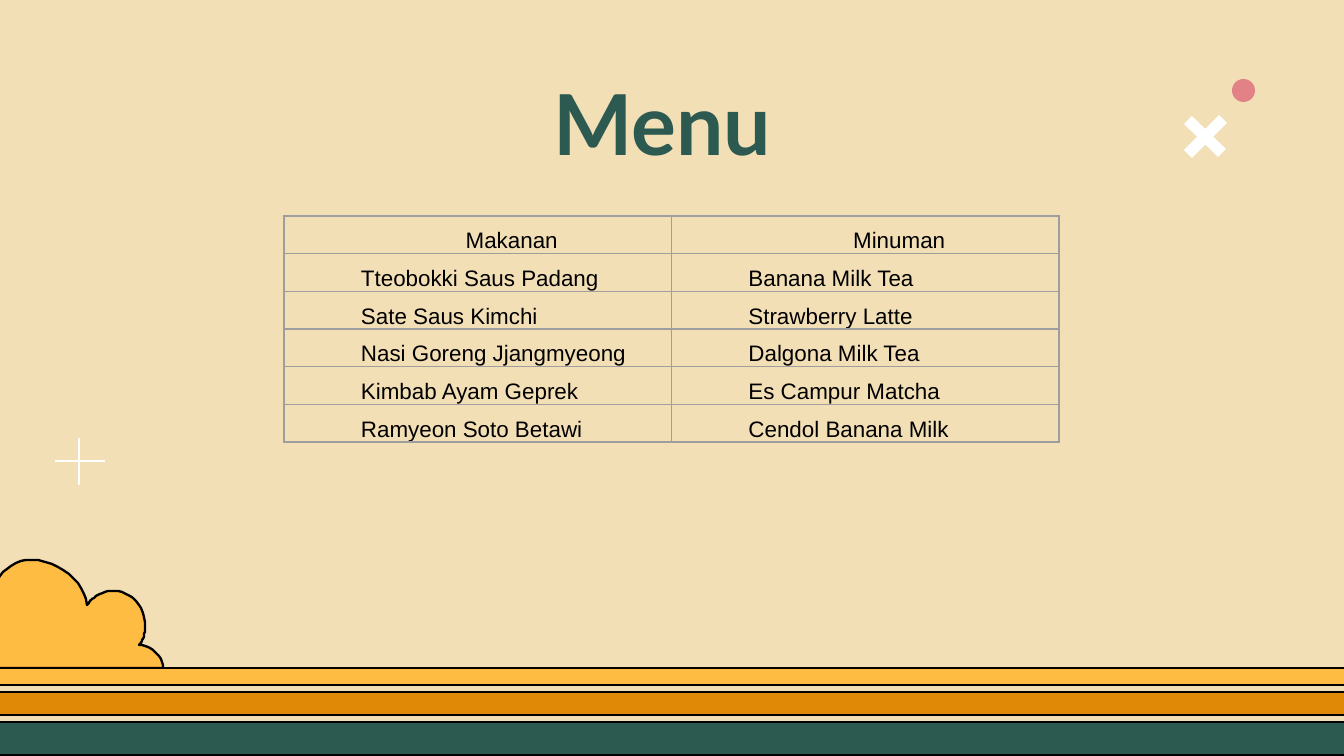
from lxml import etree
from pptx import Presentation
from pptx.dml.color import RGBColor
from pptx.enum.shapes import MSO_CONNECTOR, MSO_SHAPE
from pptx.enum.text import MSO_ANCHOR, PP_ALIGN
from pptx.oxml.ns import qn
from pptx.util import Pt

LINE = MSO_CONNECTOR.STRAIGHT
RECT, OVAL = MSO_SHAPE.RECTANGLE, MSO_SHAPE.OVAL
BOTTOM = MSO_ANCHOR.BOTTOM
CENTER, JUSTIFY = PP_ALIGN.CENTER, PP_ALIGN.JUSTIFY

SAND = RGBColor(0xF3, 0xDF, 0xB6)
GREEN = RGBColor(0x2C, 0x5A, 0x50)
ORANGE = RGBColor(0xE0, 0x89, 0x06)
YELLOW = RGBColor(0xFF, 0xBC, 0x42)
PINK = RGBColor(0xE2, 0x82, 0x87)
WHITE = RGBColor(0xFF, 0xFF, 0xFF)
BLACK = RGBColor(0, 0, 0)
GREY = RGBColor(0x9E, 0x9E, 0x9E)

TITLE = "Menu"
MENU = [
    ("Makanan", "Minuman"),
    ("Tteobokki Saus Padang", "Banana Milk Tea"),
    ("Sate Saus Kimchi", "Strawberry Latte"),
    ("Nasi Goreng Jjangmyeong", "Dalgona Milk Tea"),
    ("Kimbab Ayam Geprek", "Es Campur Matcha"),
    ("Ramyeon Soto Betawi", "Cendol Banana Milk"),
]
BANDS = [(722, 33, GREEN), (692, 23, ORANGE), (668, 17, YELLOW)]
STROKES = [
    (79, 438, 79, 485, 1.5),
    (105, 461, 55, 461, 1.5),
    (1188, 120, 1222, 153, 6),
    (1223, 119, 1188, 154, 6),
]
START = (-10, 604)
CURVES = [
    ((-8, 578), (10, 560), (31, 560)),
    ((60, 560), (84, 582), (87, 605)),
    ((93, 597), (102, 591), (113, 591)),
    ((132, 591), (145, 606), (145, 627)),
    ((145, 634), (143, 641), (139, 645)),
    ((151, 646), (162, 654), (163, 668)),
]
STEPS = 12
SCALE = 914400 / 134.4


def px(n):
    return round(n * SCALE)


def paint(shape, fill, width=0):
    shape.shadow.inherit = False
    shape.fill.solid()
    shape.fill.fore_color.rgb = fill
    if width:
        shape.line.color.rgb = BLACK
        shape.line.width = Pt(width)
    else:
        shape.line.fill.background()


def trace(start, curves):
    points = []
    for one, two, end in curves:
        for i in range(1, STEPS + 1):
            t = i / STEPS
            u = 1 - t
            points.append(tuple(
                u**3 * a + 3 * u * u * t * b + 3 * u * t * t * c + t**3 * d
                for a, b, c, d in zip(start, one, two, end)))
        start = end
    return points


def edge(cell):
    props = cell._tc.get_or_add_tcPr()
    for i, side in enumerate(("lnL", "lnR", "lnT", "lnB")):
        line = etree.Element(qn("a:" + side), w=str(Pt(0.75)))
        fill = etree.SubElement(line, qn("a:solidFill"))
        etree.SubElement(fill, qn("a:srgbClr"), val=str(GREY))
        props.insert(i, line)


deck = Presentation()
deck.slide_width, deck.slide_height = px(1344), px(756)
slide = deck.slides.add_slide(deck.slide_layouts[5])
slide.background.fill.solid()
slide.background.fill.fore_color.rgb = SAND
shapes = slide.shapes

pen = shapes.build_freeform(*START, scale=SCALE)
pen.add_line_segments(trace(START, CURVES) + [(START[0], 668)], close=True)
paint(pen.convert_to_shape(), YELLOW, 1.25)

for top, high, color in BANDS:
    band = shapes.add_shape(RECT, px(-35), px(top), px(1415), px(high))
    paint(band, color, 0.75)

dot = shapes.add_shape(OVAL, px(1232), px(79), px(23), px(23))
paint(dot, PINK)

for *ends, width in STROKES:
    stroke = shapes.add_connector(LINE, *map(px, ends))
    stroke.line.color.rgb = WHITE
    stroke.line.width = Pt(width)
    etree.SubElement(stroke._element.spPr, qn("a:effectLst"))

title = shapes.title
title.left, title.top, title.width, title.height = map(px, (198, 32, 950, 441))
frame = title.text_frame
frame.text = TITLE
frame.vertical_anchor = BOTTOM
frame.margin_left = frame.margin_top = 0
frame.margin_right, frame.margin_bottom = px(22), px(301)
para = frame.paragraphs[0]
para.alignment = CENTER
para.font.name, para.font.size, para.font.bold = "Lato", Pt(45), True
para.font.color.rgb = GREEN

table = shapes.add_table(len(MENU), 2, px(284), px(216), px(775), px(222)).table
table.first_row = table.horz_banding = False
for r, row in enumerate(MENU):
    for c, text in enumerate(row):
        cell = table.cell(r, c)
        cell.text = text
        cell.fill.background()
        cell.margin_left, cell.margin_right = px(77), px(9)
        cell.margin_top = cell.margin_bottom = 0
        edge(cell)
        para = cell.text_frame.paragraphs[0]
        para.alignment = JUSTIFY if r else CENTER
        para.line_spacing = 1.5
        para.font.name, para.font.size = "Arial", Pt(12)
        para.font.color.rgb = BLACK

deck.save("out.pptx")
